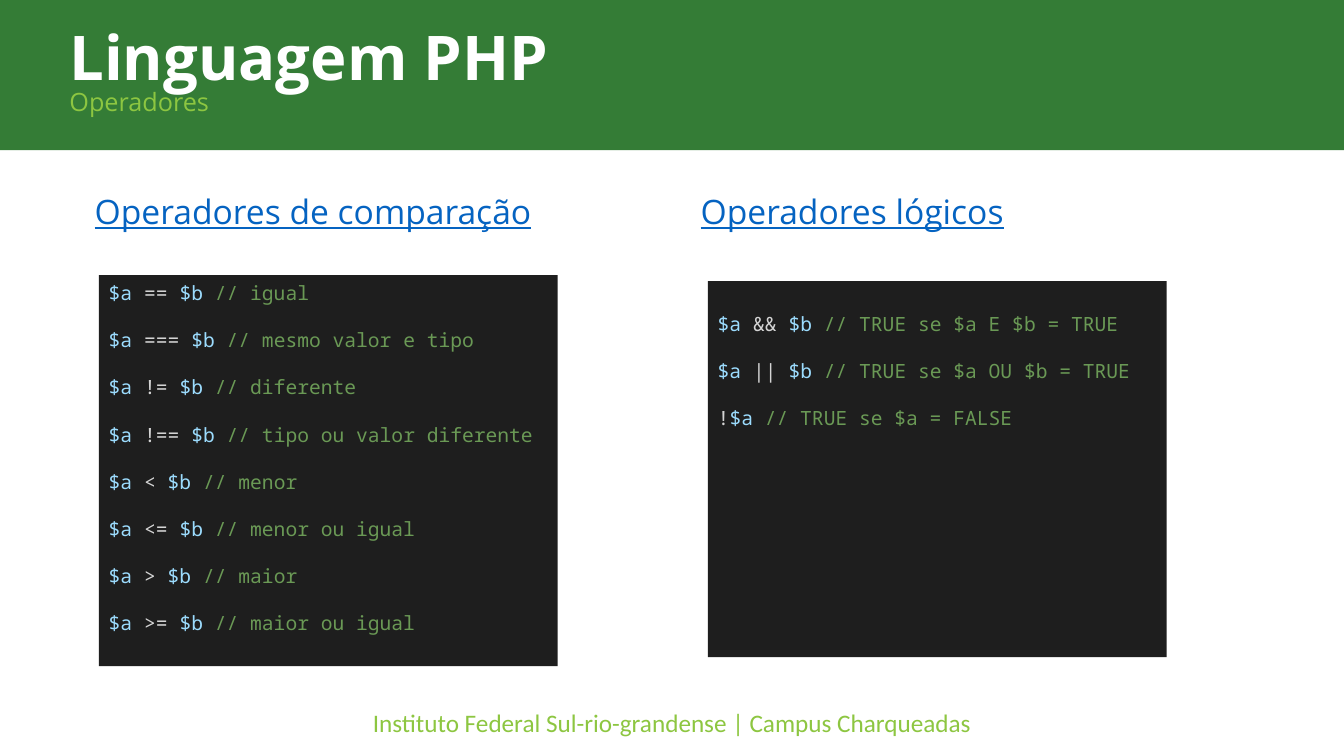
from pptx import Presentation
from pptx.dml.color import RGBColor
from pptx.enum.shapes import MSO_SHAPE
from pptx.enum.text import MSO_ANCHOR, PP_ALIGN
from pptx.util import Inches, Pt

GREEN = RGBColor(0x34, 0x7C, 0x36)
LIME = RGBColor(0x8D, 0xC6, 0x41)
WHITE = RGBColor(0xFF, 0xFF, 0xFF)
LINK_BLUE = RGBColor(0x05, 0x63, 0xC1)
EDITOR = RGBColor(0x1E, 0x1E, 0x1E)
VARIABLE = RGBColor(0x9C, 0xDC, 0xFE)
OPERATOR = RGBColor(0xD4, 0xD4, 0xD4)
COMMENT = RGBColor(0x6A, 0x99, 0x55)

COMPARISONS = [
    ("$a", " == ", "$b ", "// igual"),
    ("$a", " === ", "$b ", "// mesmo valor e tipo"),
    ("$a", " != ", "$b ", "// diferente"),
    ("$a", " !== ", "$b ", "// tipo ou valor diferente"),
    ("$a", " < ", "$b ", "// menor"),
    ("$a", " <= ", "$b ", "// menor ou igual"),
    ("$a", " > ", "$b ", "// maior"),
    ("$a", " >= ", "$b ", "// maior ou igual"),
]
LOGICALS = [
    ("$a", " && ", "$b ", "// TRUE se $a E $b = TRUE"),
    ("$a", " || ", "$b ", "// TRUE se $a OU $b = TRUE"),
    ("!", "$a ", "// TRUE se $a = FALSE"),
]


def add_run(paragraph, text, *, font, size, color, bold=False, underline=False):
    run = paragraph.add_run()
    run.text = text
    run.font.name = font
    run.font.size = Pt(size)
    run.font.color.rgb = color
    run.font.bold = bold
    run.font.underline = underline


def token_color(token):
    if token.startswith("//"):
        return COMMENT
    return VARIABLE if token.startswith("$") else OPERATOR


class OperatorSlide:
    text_font = "Open Sans"
    code_font = "Noto Sans Mono"
    footer_font = "Calibri"
    code_size = 14
    code_line = Pt(16.8)

    def __init__(self, slide):
        self.slide = slide

    def panel(self, left, top, width, height, color):
        panel = self.slide.shapes.add_shape(
            MSO_SHAPE.RECTANGLE, Inches(left), Inches(top), Inches(width), Inches(height))
        panel.shadow.inherit = False
        panel.fill.solid()
        panel.fill.fore_color.rgb = color
        panel.line.fill.background()
        return panel

    def text_frame(self, left, top, width, height, inset_top=0.05):
        box = self.slide.shapes.add_textbox(
            Inches(left), Inches(top), Inches(width), Inches(height))
        frame = box.text_frame
        frame.word_wrap = True
        frame.margin_top = Inches(inset_top)
        return frame

    def title(self, title, subtitle):
        frame = self.text_frame(0.59, 0.17, 11.72, 1.45, inset_top=0.16)
        lines = [(title, 44, WHITE, True), (subtitle, 18, LIME, False)]
        for index, (text, size, color, bold) in enumerate(lines):
            paragraph = frame.add_paragraph() if index else frame.paragraphs[0]
            paragraph.line_spacing = 0.8
            add_run(paragraph, text, font=self.text_font, size=size, color=color, bold=bold)

    def heading(self, left, text):
        frame = self.text_frame(left, 1.84, 4.9, 0.61, inset_top=0.1)
        frame.margin_left = Inches(0.18)
        paragraph = frame.paragraphs[0]
        paragraph.line_spacing = 0.9
        add_run(paragraph, text, font=self.text_font, size=24, color=LINK_BLUE, underline=True)

    def code(self, left, top, height, statements, inset_top):
        frame = self.panel(left, top, 4.55, height, EDITOR).text_frame
        frame.word_wrap = True
        frame.vertical_anchor = MSO_ANCHOR.TOP
        frame.margin_top = Inches(inset_top)
        for index, tokens in enumerate(statements):
            paragraph = frame.add_paragraph() if index else frame.paragraphs[0]
            paragraph.alignment = PP_ALIGN.LEFT
            paragraph.line_spacing = self.code_line
            paragraph.space_after = self.code_line
            for token in tokens:
                add_run(paragraph, token, font=self.code_font, size=self.code_size,
                        color=token_color(token))

    def footer(self, text):
        paragraph = self.text_frame(3.33, 6.97, 6.67, 0.4).paragraphs[0]
        paragraph.alignment = PP_ALIGN.CENTER
        add_run(paragraph, text, font=self.footer_font, size=18, color=LIME)


presentation = Presentation()
presentation.slide_width = Inches(13.33)
presentation.slide_height = Inches(7.5)
operators = OperatorSlide(presentation.slides.add_slide(presentation.slide_layouts[6]))

operators.panel(0, 0, 13.33, 1.49, GREEN)
operators.footer("Instituto Federal Sul-rio-grandense | Campus Charqueadas")
operators.title("Linguagem PHP", "Operadores")
operators.heading(0.76, "Operadores de comparação")
operators.code(0.98, 2.73, 3.88, COMPARISONS, inset_top=0.06)
operators.code(7.02, 2.79, 3.73, LOGICALS, inset_top=0.3)
operators.heading(6.77, "Operadores lógicos")

presentation.save("out.pptx")
